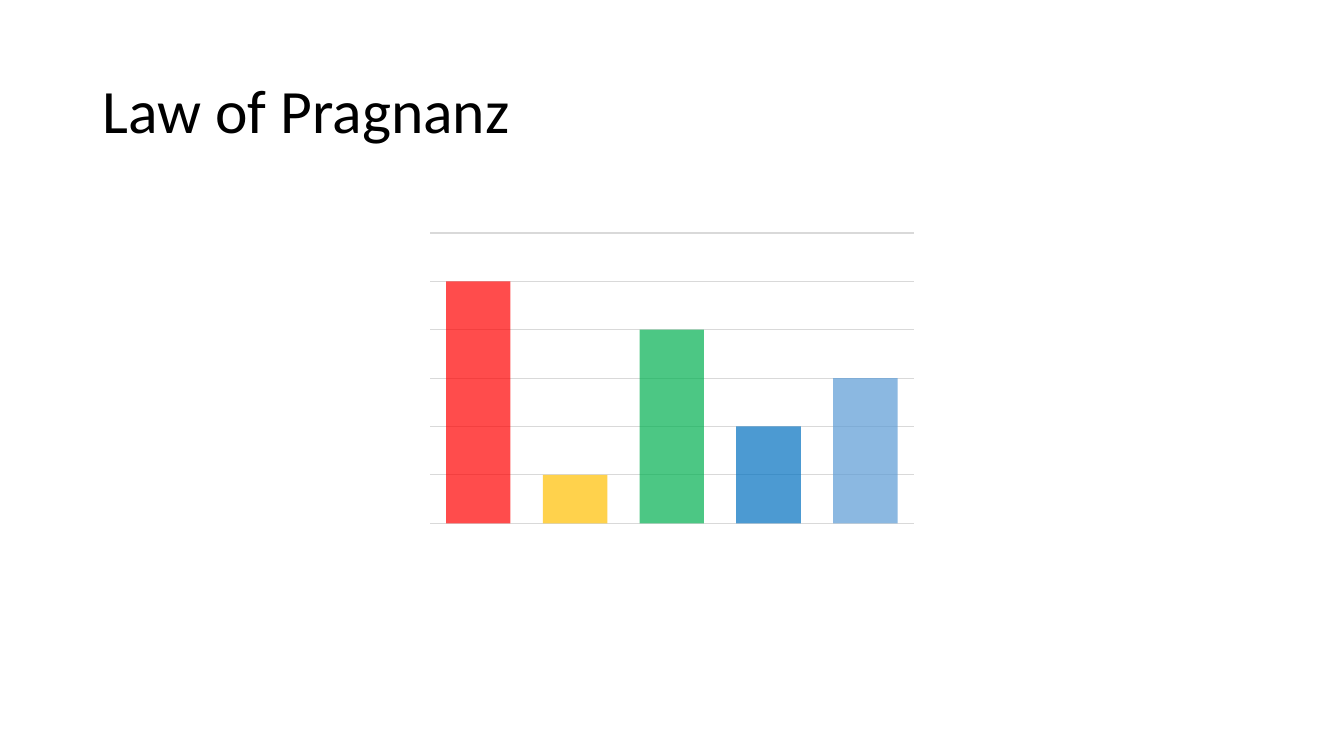
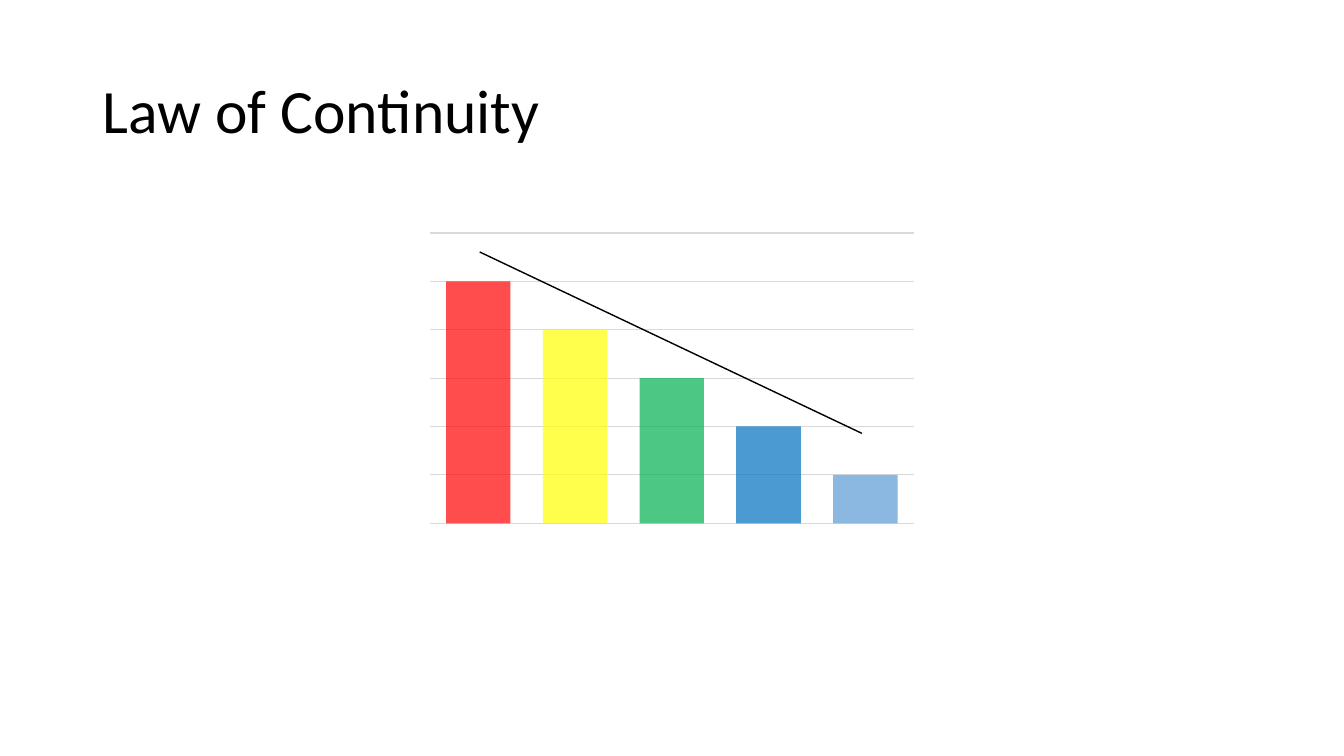
from lxml.etree import SubElement
from pptx import Presentation
from pptx.chart.data import CategoryChartData
from pptx.dml.color import RGBColor
from pptx.enum.chart import XL_CHART_TYPE
from pptx.enum.shapes import MSO_CONNECTOR
from pptx.enum.text import MSO_ANCHOR, MSO_AUTO_SIZE, PP_ALIGN
from pptx.oxml.ns import qn
from pptx.util import Cm, Pt

FONT = "Calibri"
HUES = {
    "ink": "000000",
    "grid": "D9D9D9",
    "red": "FF0000",
    "gold": "FFC000",
    "yellow": "FFFF00",
    "green": "00B050",
    "blue": "0070C0",
    "sky": "5B9BD5",
}


def hue(name):
    """Return the named colour."""
    return RGBColor.from_string(HUES[name])


def style(font, size, color="ink"):
    """Set the face, size and colour of a font."""
    font.name = FONT
    font.size = Pt(size)
    font.color.rgb = hue(color)


def write(shape, text, size=44, color="ink", align=PP_ALIGN.LEFT, space=0.9):
    """Put formatted text in a shape."""
    frame = shape.text_frame
    frame.text = text
    frame.word_wrap = True
    frame.auto_size = MSO_AUTO_SIZE.NONE
    frame.vertical_anchor = MSO_ANCHOR.MIDDLE
    line = frame.paragraphs[0]
    line.alignment = align
    line.line_spacing = space
    style(line.font, size, color)


def add_page(deck, title):
    """Add a slide with a title."""
    page = deck.slides.add_slide(deck.slide_layouts[5])
    head = page.shapes.title
    head.left, head.top = Cm(2.33), Cm(1.01)
    head.width, head.height = Cm(29.21), Cm(3.68)
    write(head, title)
    return page


def add_bars(page, bars):
    """Add a column chart from pairs of colour and value."""
    data = CategoryChartData()
    data.categories = [str(n + 1) for n in range(len(bars))]
    data.add_series("Series 1", [value for _, value in bars])
    chart = page.shapes.add_chart(
        XL_CHART_TYPE.COLUMN_STACKED,
        Cm(10.58), Cm(5.72), Cm(12.7), Cm(7.62), data).chart
    chart.has_title = chart.has_legend = False
    style(chart.font, 10)
    chart.category_axis.visible = False
    axis = chart.value_axis
    axis.visible = False
    axis.has_major_gridlines = True
    grid = axis.major_gridlines.format.line
    grid.color.rgb = hue("grid")
    grid.width = Pt(0.75)
    plot = chart.plots[0]
    plot.vary_by_categories = False
    plot.gap_width, plot.overlap = 50, 100
    series = plot.series[0]
    series.invert_if_negative = False
    for n, (color, _) in enumerate(bars):
        fill = series.points[n].format.fill
        fill.solid()
        fill.fore_color.rgb = hue(color)
    for tint in chart.element.xpath(".//c:ser//a:srgbClr"):
        SubElement(tint, qn("a:alpha"), val="70000")


def add_line(page, start, end, color="ink", width=1):
    """Add a straight line between two points in centimetres."""
    ends = [Cm(n) for n in start + end]
    line = page.shapes.add_connector(MSO_CONNECTOR.STRAIGHT, *ends)
    line.line.color.rgb = hue(color)
    line.line.width = Pt(width)
    SubElement(line.element.spPr, qn("a:effectLst"))


def main():
    """Build and save the deck."""
    deck = Presentation()
    deck.slide_width, deck.slide_height = Cm(33.87), Cm(19.05)

    page = add_page(deck, "Law of Pragnanz")
    add_bars(page, [("red", 100), ("gold", 20), ("green", 80),
                    ("blue", 40), ("sky", 60)])

    page = add_page(deck, "Law of Continuity")
    add_bars(page, [("red", 100), ("yellow", 80), ("green", 60),
                    ("blue", 40), ("sky", 20)])
    add_line(page, (12.09, 6.35), (21.72, 10.92))

    deck.save("out.pptx")


if __name__ == "__main__":
    main()
